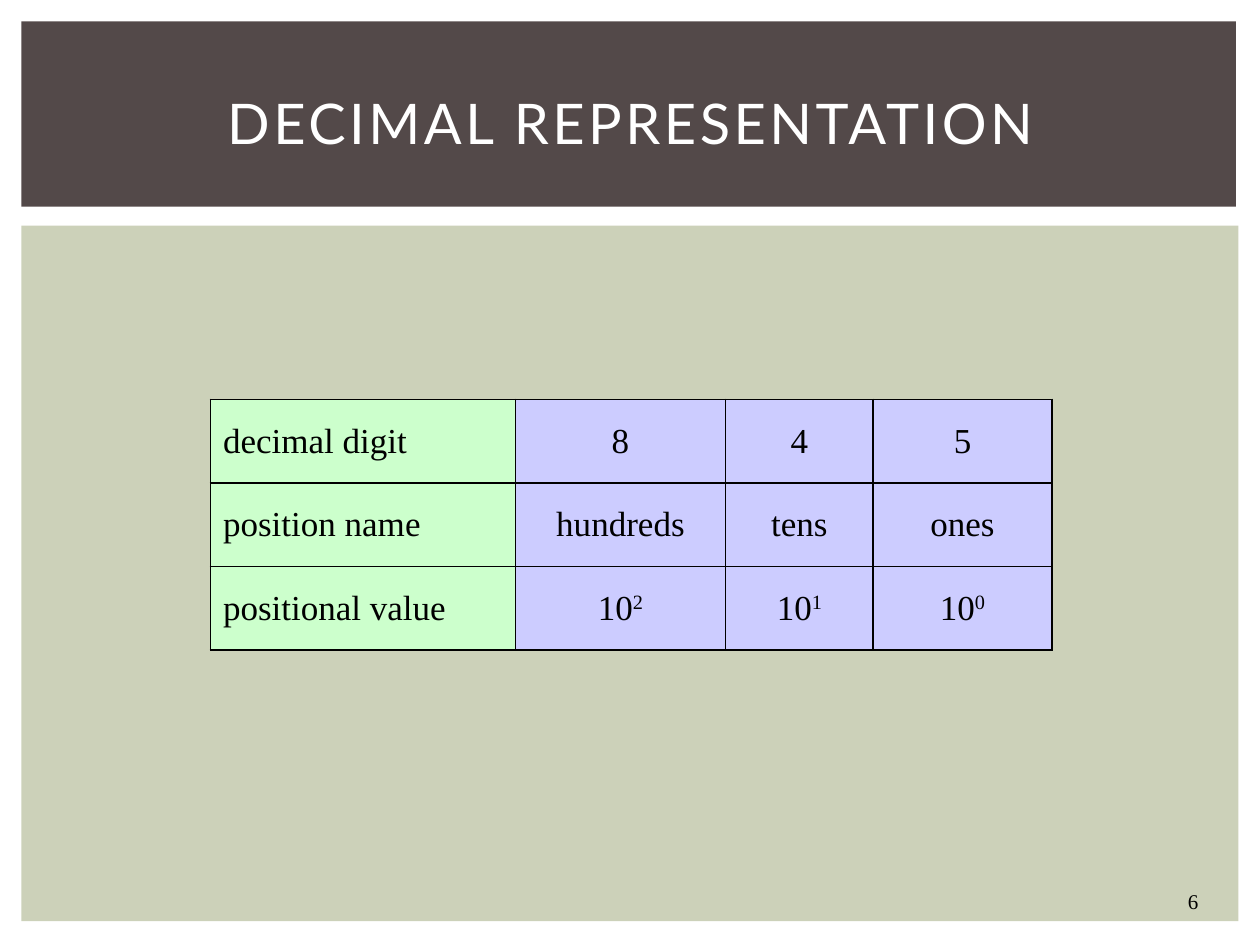
from typing import NamedTuple

from lxml.etree import SubElement
from pptx import Presentation
from pptx.dml.color import RGBColor
from pptx.enum.shapes import MSO_SHAPE
from pptx.enum.text import MSO_ANCHOR, PP_ALIGN
from pptx.oxml.ns import qn
from pptx.util import Inches, Pt

BLACK = RGBColor(0x00, 0x00, 0x00)
WHITE = RGBColor(0xFF, 0xFF, 0xFF)
BROWN = RGBColor(0x53, 0x49, 0x49)
SAGE = RGBColor(0xCC, 0xD1, 0xB9)
GREEN = RGBColor(0xCC, 0xFF, 0xCC)
LILAC = RGBColor(0xCC, 0xCC, 0xFF)
SERIF = "Times New Roman"


class Box(NamedTuple):
    left: float
    top: float
    width: float
    height: float

    def emu(self) -> list:
        return [Inches(v) for v in self]


class Panel(NamedTuple):
    box: Box
    color: RGBColor


PANELS = [
    Panel(Box(0.17, 1.79, 9.66, 5.52), SAGE),
    Panel(Box(0.17, 0.17, 9.64, 1.47), BROWN),
]
TITLE_BOX = Box(0.42, 0.39, 9.17, 1.15)
NUMBER_BOX = Box(9.33, 7, 0.42, 0.3)
TABLE_BOX = Box(1.67, 3.17, 6.68, 1.99)
COL_WIDTHS = [2.42, 1.67, 1.17, 1.42]
# Text after "^" is raised
ROWS = [
    ["decimal digit", "8", "4", "5"],
    ["position name", "hundreds", "tens", "ones"],
    ["positional value", "10^2", "10^1", "10^0"],
]


def set_font(font, name: str, size: float, color: RGBColor) -> None:
    font.name, font.size, font.bold = name, Pt(size), False
    font.color.rgb = color


def add_panel(s, panel: Panel, depth: int) -> None:
    sp = s.shapes.add_shape(MSO_SHAPE.RECTANGLE, *panel.box.emu())
    sp.shadow.inherit = False
    sp.fill.solid()
    sp.fill.fore_color.rgb = panel.color
    sp.line.fill.background()
    # Panels lie behind the title
    s.shapes._spTree.insert(2 + depth, sp._element)


def set_title(s, text: str) -> None:
    sp = s.shapes.title
    sp.left, sp.top, sp.width, sp.height = TITLE_BOX.emu()
    tf = sp.text_frame
    tf.text = text
    tf.vertical_anchor = MSO_ANCHOR.MIDDLE
    p = tf.paragraphs[0]
    p.alignment = PP_ALIGN.CENTER
    set_font(p.font, "Lato", 32, WHITE)
    p.runs[0].font._element.set("spc", "200")


def add_number(s, text: str) -> None:
    tf = s.shapes.add_textbox(*NUMBER_BOX.emu()).text_frame
    tf.word_wrap = True
    tf.text = text
    set_font(tf.paragraphs[0].font, SERIF, 12, BLACK)


def add_borders(cell) -> None:
    tc_pr = cell._tc.get_or_add_tcPr()
    for i, side in enumerate(("lnL", "lnR", "lnT", "lnB")):
        ln = SubElement(tc_pr, qn(f"a:{side}"), w=str(Pt(1)))
        fill = SubElement(ln, qn("a:solidFill"))
        SubElement(fill, qn("a:srgbClr"), val=str(BLACK))
        tc_pr.insert(i, ln)  # borders come before the fill


def fill_cell(cell, text: str, is_label: bool) -> None:
    cell.fill.solid()
    cell.fill.fore_color.rgb = GREEN if is_label else LILAC
    cell.vertical_anchor = MSO_ANCHOR.MIDDLE
    add_borders(cell)
    p = cell.text_frame.paragraphs[0]
    p.alignment = PP_ALIGN.LEFT if is_label else PP_ALIGN.CENTER
    p.space_before = Pt(4)
    set_font(p.font, SERIF, 20, BLACK)
    base, _, power = text.partition("^")
    p.add_run().text = base
    if power:
        r = p.add_run()
        r.text = power
        r.font._element.set("baseline", "30000")


def add_digit_table(s) -> None:
    table = s.shapes.add_table(len(ROWS), len(COL_WIDTHS), *TABLE_BOX.emu()).table
    for col, width in zip(table.columns, COL_WIDTHS):
        col.width = Inches(width)
    for i, row in enumerate(ROWS):
        for j, text in enumerate(row):
            fill_cell(table.cell(i, j), text, is_label=j == 0)


def main() -> None:
    prs = Presentation()
    prs.slide_width, prs.slide_height = Inches(10), Inches(7.5)
    s = prs.slides.add_slide(prs.slide_layouts[5])  # title only

    # Background panels
    for depth, panel in enumerate(PANELS):
        add_panel(s, panel, depth)

    # Content
    set_title(s, "DECIMAL REPRESENTATION")
    add_digit_table(s)
    add_number(s, "6")

    prs.save("out.pptx")


if __name__ == "__main__":
    main()
